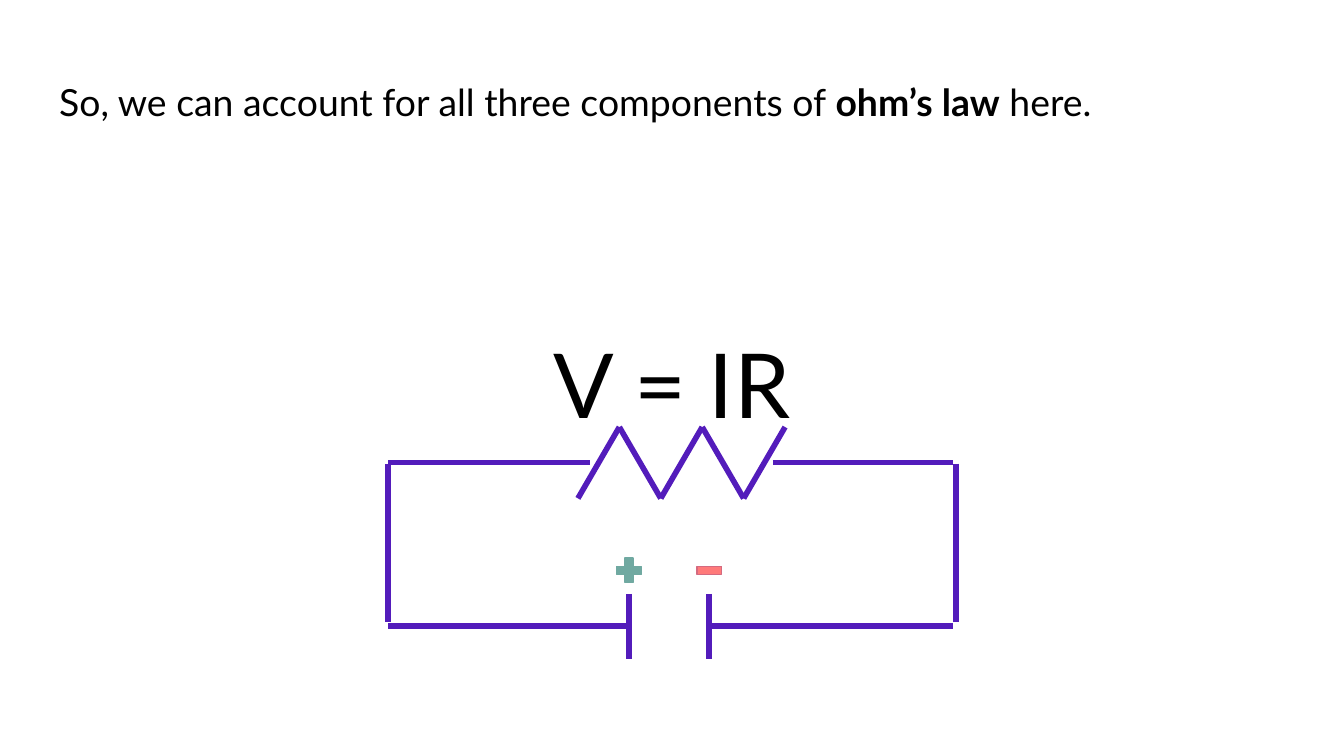
"""Build a slide that states Ohm's law above a simple circuit."""
from itertools import pairwise
from typing import NamedTuple

from lxml import etree
from pptx import Presentation
from pptx.dml.color import RGBColor
from pptx.enum.shapes import MSO_CONNECTOR, MSO_SHAPE
from pptx.enum.text import MSO_ANCHOR, MSO_AUTO_SIZE, PP_ALIGN
from pptx.oxml.ns import qn
from pptx.util import Pt

STRAIGHT = MSO_CONNECTOR.STRAIGHT
PLUS, MINUS = MSO_SHAPE.MATH_PLUS, MSO_SHAPE.MATH_MINUS
TOP, MIDDLE = MSO_ANCHOR.TOP, MSO_ANCHOR.MIDDLE
LEFT, CENTER = PP_ALIGN.LEFT, PP_ALIGN.CENTER
NO_FIT = MSO_AUTO_SIZE.NONE

BLACK = RGBColor(0x00, 0x00, 0x00)
WHITE = RGBColor(0xFF, 0xFF, 0xFF)
PURPLE = RGBColor(0x53, 0x1C, 0xBB)
TEAL = RGBColor(0x70, 0xA9, 0xA1)
CORAL = RGBColor(0xFF, 0x7A, 0x7A)
ROSE = RGBColor(0xD4, 0x6A, 0x80)
FONT = "Lato"

INSET = 7.2
X_LEFT, X_RIGHT = 208, 512
Y_TOP, Y_BOTTOM = 247.7, 335.5
X_POS, X_NEG = 337, 380
PLATE_TOP, PLATE_BOTTOM = 318.2, 352.8
ZIGZAG_X, ZIGZAG_STEP = 309.6, 22.2
ZIGZAG_LOW, ZIGZAG_HIGH = 267, 228.8
SIGN_TOP, SIGN_SIZE = 296.6, 18


class Wire(NamedTuple):
    x1: float
    y1: float
    x2: float
    y2: float


class Sign(NamedTuple):
    kind: MSO_SHAPE
    x: float
    fill: RGBColor
    line: RGBColor


WIRES = [
    Wire(X_LEFT, Y_TOP, 316, Y_TOP),
    Wire(414, Y_TOP, 510.5, Y_TOP),
    Wire(X_LEFT, 248.4, X_LEFT, 333.4),
    Wire(X_RIGHT, 248.4, X_RIGHT, 333.4),
    Wire(X_LEFT, Y_BOTTOM, X_POS, Y_BOTTOM),
    Wire(X_NEG, Y_BOTTOM, 510.5, Y_BOTTOM),
    Wire(X_POS, PLATE_TOP, X_POS, PLATE_BOTTOM),
    Wire(X_NEG, PLATE_TOP, X_NEG, PLATE_BOTTOM),
]
SIGNS = [Sign(PLUS, X_POS, TEAL, TEAL), Sign(MINUS, X_NEG, CORAL, ROSE)]


def resistor() -> list[Wire]:
    points = [
        (ZIGZAG_X + i * ZIGZAG_STEP, ZIGZAG_HIGH if i % 2 else ZIGZAG_LOW)
        for i in range(6)
    ]
    return [Wire(*start, *end) for start, end in pairwise(points)]


def draw_wire(s, wire: Wire) -> None:
    sp = s.shapes.add_connector(STRAIGHT, *map(Pt, wire))
    sp.line.color.rgb = PURPLE
    sp.line.width = Pt(3)
    etree.SubElement(sp._element.spPr, qn("a:effectLst"))


def draw_sign(s, sign: Sign) -> None:
    sp = s.shapes.add_shape(
        sign.kind, Pt(sign.x - SIGN_SIZE / 2), Pt(SIGN_TOP), Pt(SIGN_SIZE), Pt(SIGN_SIZE)
    )
    sp.adjustments[0] = 0.235
    sp.shadow.inherit = False
    sp.fill.solid()
    sp.fill.fore_color.rgb = sign.fill
    sp.line.color.rgb = sign.line
    sp.line.width = Pt(0.75)


def format_text(sp, top: float, height: float, size: float, align: PP_ALIGN,
                anchor: MSO_ANCHOR, bottom_inset: float = INSET):
    sp.left, sp.top, sp.width, sp.height = Pt(24.5), Pt(top), Pt(671), Pt(height)
    tf = sp.text_frame
    tf.auto_size = NO_FIT
    tf.word_wrap = True
    tf.vertical_anchor = anchor
    tf.margin_left = tf.margin_right = tf.margin_top = Pt(INSET)
    tf.margin_bottom = Pt(bottom_inset)
    p = tf.paragraphs[0]
    p.alignment = align
    p.space_before = Pt(0)
    p.font.name = FONT
    p.font.size = Pt(size)
    p.font.color.rgb = BLACK
    return p


def main() -> None:
    prs = Presentation()
    prs.slide_width, prs.slide_height = Pt(720), Pt(405)
    s = prs.slides.add_slide(prs.slide_layouts[1])
    s.background.fill.solid()
    s.background.fill.fore_color.rgb = WHITE

    p = format_text(s.shapes.title, 35.3, 45.4, 20, LEFT, TOP)
    for text, bold in [
        ("So, we can account for all three components of ", False),
        ("ohm’s law", True),
        (" here.", False),
    ]:
        r = p.add_run()
        r.text = text
        r.font.bold = bold

    p = format_text(s.placeholders[1], 90.7, 269.3, 48, CENTER, MIDDLE, 56)
    p.add_run().text = "V = IR"
    p.line_spacing = 1.15
    pPr = p._p.get_or_add_pPr()
    pPr.set("marL", "0")
    pPr.set("indent", "0")
    pPr.insert_element_before(etree.Element(qn("a:buNone")), "a:tabLst", "a:defRPr", "a:extLst")

    for wire in WIRES + resistor():
        draw_wire(s, wire)
    for sign in SIGNS:
        draw_sign(s, sign)
    prs.save("out.pptx")


if __name__ == "__main__":
    main()
